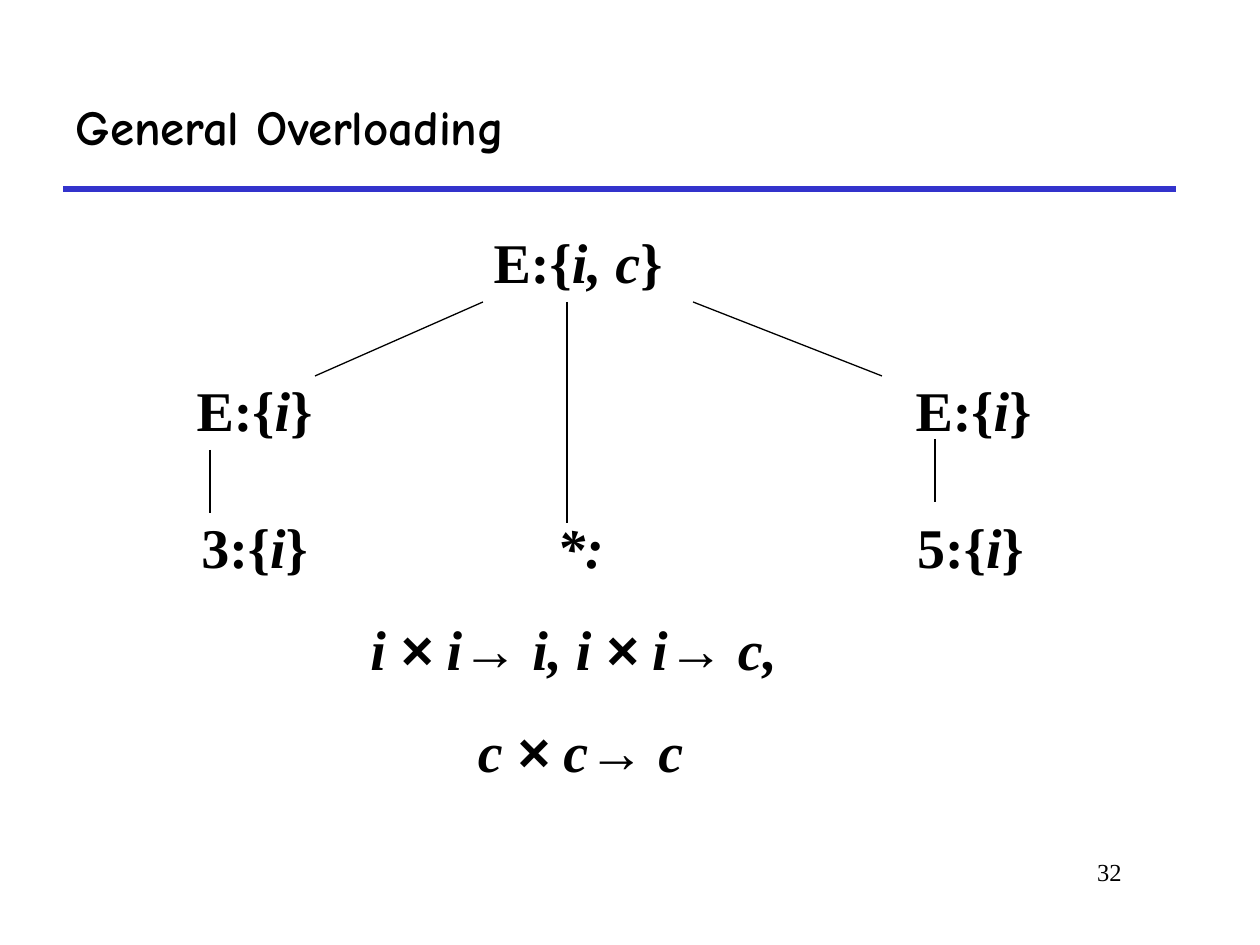
"""Build a slide showing the type sets of a general overloading tree."""

from dataclasses import dataclass
from itertools import groupby

from pptx import Presentation
from pptx.dml.color import RGBColor
from pptx.enum.shapes import MSO_CONNECTOR
from pptx.enum.text import MSO_ANCHOR, MSO_AUTO_SIZE, PP_ALIGN
from pptx.oxml.ns import qn
from pptx.shapes.base import BaseShape
from pptx.slide import Slide
from pptx.text.text import _Paragraph
from pptx.util import Emu, Pt


@dataclass(frozen=True)
class Theme:
    """Colours, fonts and type sizes."""

    ink: RGBColor = RGBColor(0, 0, 0)
    rule: RGBColor = RGBColor(0x33, 0x33, 0xCC)
    head: str = "Comic Neue"
    text: str = "Times New Roman"
    sign: str = "Arial"
    title: int = 28
    node: int = 32
    page: int = 14
    gap: int = 20
    thin: float = 0.75
    thick: float = 3


@dataclass(frozen=True)
class Box:
    """Place and size in px."""

    left: int
    top: int
    width: int
    height: int


@dataclass(frozen=True)
class Run:
    """Text in one style."""

    text: str
    slant: bool = False
    font: str = Theme.text


@dataclass(frozen=True)
class Node:
    """Centred lines of runs in the tree."""

    box: Box
    lines: list[list[Run]]


@dataclass(frozen=True)
class Line:
    """Straight line between two points in px."""

    start: tuple[int, int]
    end: tuple[int, int]
    color: RGBColor = Theme.ink
    width: float = Theme.thin


THEME = Theme()


def px(count: int) -> Emu:
    """Turn px into EMU at 126 px to the inch."""
    return Emu(round(count * 914400 / 126))


def typed(name: str, kind: str) -> list[list[Run]]:
    """Label a name with its set of types."""
    return [[Run(name + ":{"), Run(kind, True), Run("}")]]


def rule(text: str) -> list[Run]:
    """Split a type rule so that its signs get their own font."""
    parts = groupby(text, key=lambda mark: mark in "×→")
    return [Run("".join(part), True, THEME.sign if sign else THEME.text)
            for sign, part in parts]


def place(shape: BaseShape, box: Box) -> None:
    """Move and size a shape."""
    shape.left, shape.top = px(box.left), px(box.top)
    shape.width, shape.height = px(box.width), px(box.height)


def write(para: _Paragraph, runs: list[Run], size: int, bold: bool) -> None:
    """Add runs to a paragraph."""
    for item in runs:
        run = para.add_run()
        run.text = item.text
        font = run.font
        font.name, font.size = item.font, Pt(size)
        font.bold, font.italic = bold, item.slant
        font.color.rgb = THEME.ink


def draw_line(slide: Slide, line: Line) -> None:
    """Draw a line without a shadow."""
    ends = [px(n) for n in line.start + line.end]
    shape = slide.shapes.add_connector(MSO_CONNECTOR.STRAIGHT, *ends)
    shape.line.color.rgb = line.color
    shape.line.width = Pt(line.width)
    props = shape._element.spPr
    props.append(props.makeelement(qn("a:effectLst"), {}))


def draw_node(slide: Slide, node: Node) -> None:
    """Draw the lines of a tree node."""
    shape = slide.shapes.add_textbox(0, 0, 0, 0)
    place(shape, node.box)
    frame = shape.text_frame
    frame.word_wrap = False
    frame.auto_size = MSO_AUTO_SIZE.SHAPE_TO_FIT_TEXT
    for i, runs in enumerate(node.lines):
        para = frame.add_paragraph() if i else frame.paragraphs[0]
        para.alignment = PP_ALIGN.CENTER
        para.space_before = Pt(THEME.gap)
        write(para, runs, THEME.node, True)


def draw_title(slide: Slide, text: str) -> None:
    """Fill the title placeholder."""
    shape = slide.shapes.title
    place(shape, Box(63, 63, 1113, 126))
    frame = shape.text_frame
    frame.vertical_anchor = MSO_ANCHOR.MIDDLE
    frame.auto_size = MSO_AUTO_SIZE.NONE
    para = frame.paragraphs[0]
    para.alignment = PP_ALIGN.LEFT
    write(para, [Run(text, font=THEME.head)], THEME.title, True)


def draw_page(slide: Slide, text: str) -> None:
    """Write the page number at the lower right."""
    shape = slide.shapes.add_textbox(0, 0, 0, 0)
    place(shape, Box(872, 851, 262, 63))
    shape.text_frame.word_wrap = True
    para = shape.text_frame.paragraphs[0]
    para.alignment = PP_ALIGN.RIGHT
    write(para, [Run(text)], THEME.page, False)


NODES = [
    Node(Box(481, 221, 194, 81), typed("E", "i, c")),
    Node(Box(903, 369, 141, 81), typed("E", "i")),
    Node(Box(356, 506, 449, 285),
         [rule("*:"), rule("i × i→ i, i × i→ c, "), rule("c × c→ c")]),
    Node(Box(184, 369, 141, 81), typed("E", "i")),
    Node(Box(186, 506, 137, 81), typed("3", "i")),
    Node(Box(902, 506, 137, 81), typed("5", "i")),
]

LINES = [
    Line((63, 189), (1176, 189), THEME.rule, THEME.thick),
    Line((483, 302), (315, 376)),
    Line((693, 302), (882, 376)),
    Line((567, 302), (567, 523)),
    Line((210, 450), (210, 513)),
    Line((935, 439), (935, 502)),
]


def main() -> None:
    """Build and save the slide."""
    deck = Presentation()
    deck.slide_width, deck.slide_height = px(1260), px(945)
    slide = deck.slides.add_slide(deck.slide_layouts[5])
    draw_title(slide, "General Overloading")
    for line in LINES:
        draw_line(slide, line)
    for node in NODES:
        draw_node(slide, node)
    draw_page(slide, "32")
    deck.save("out.pptx")


if __name__ == "__main__":
    main()
